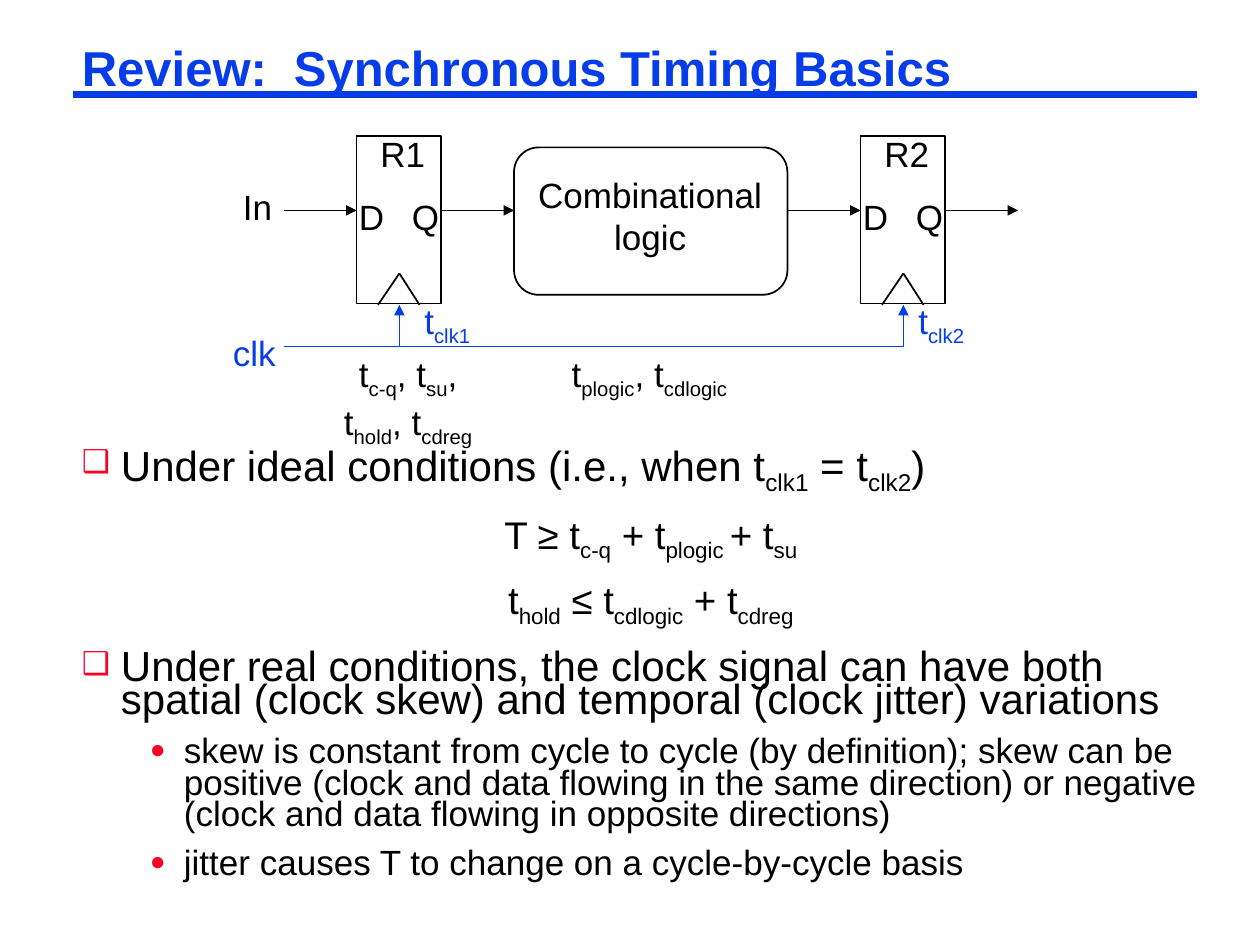
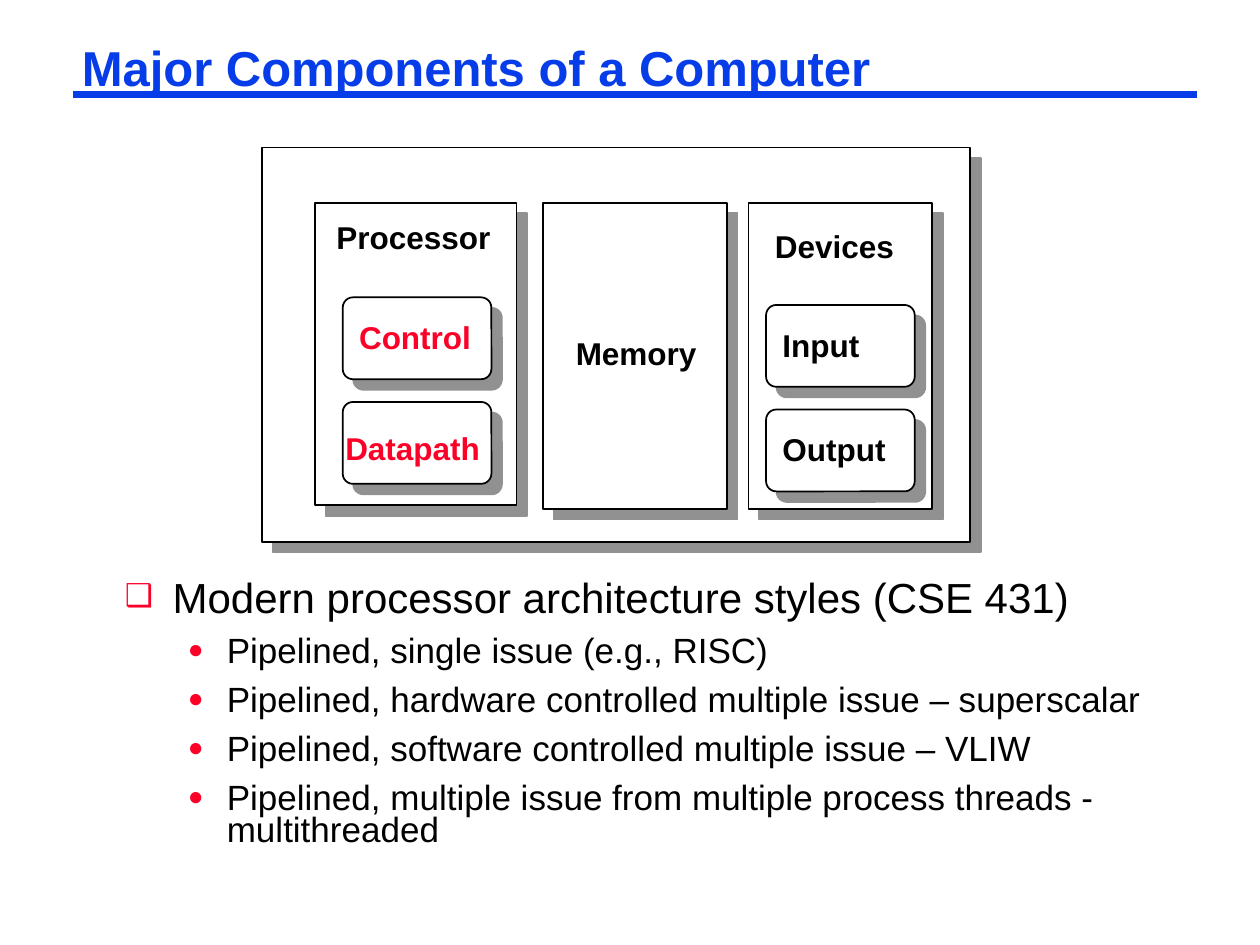
from dataclasses import dataclass

from lxml.etree import SubElement
from pptx import Presentation
from pptx.dml.color import RGBColor
from pptx.enum.shapes import MSO_CONNECTOR, MSO_SHAPE
from pptx.enum.text import MSO_ANCHOR, MSO_AUTO_SIZE, PP_ALIGN
from pptx.oxml.ns import qn
from pptx.util import Inches, Pt


@dataclass(frozen=True)
class Theme:
    blue: str = "063DE8"
    red: str = "FC0128"
    black: str = "000000"
    white: str = "FFFFFF"
    shadow: str = "919191"
    font: str = "Arial"
    title: int = 28
    body: int = 24
    formula: int = 22
    detail: int = 20
    block: int = 18
    thin: float = 1
    rule: float = 4.5


THEME = Theme()
WIDE_INSETS = (0.1, 0.05)
TIGHT_INSETS = (0.07, 0.03)
LABEL_SLACK = 0.04  # spare width that keeps each label line whole

# Paragraph formats of the body lists
TOPIC = dict(bullet="❑", size=THEME.body, line=0.8, before=19.5)
DETAIL = dict(bullet="●", size=THEME.detail, line=0.75, before=10, level=1)
FORMULA = dict(bullet=None, size=THEME.formula, line=0.65, before=17.9,
               align=PP_ALIGN.CENTER)


# ---- Text ----
def set_values(target, values):
    for name, value in values.items():
        setattr(target, name, value)


def format_frame(frame, insets, wrap, fit=MSO_AUTO_SIZE.SHAPE_TO_FIT_TEXT):
    side, end = map(Inches, insets)
    set_values(frame, dict(margin_left=side, margin_right=side, margin_top=end,
                           margin_bottom=end, word_wrap=wrap, auto_size=fit,
                           vertical_anchor=MSO_ANCHOR.TOP))


def write(paragraph, text, size, color=THEME.black, bold=False):
    """Write text whose parts between bars are subscripts."""
    for index, part in enumerate(text.split("|")):
        if not part:
            continue
        run = paragraph.add_run()
        run.text = part
        set_values(run.font, dict(name=THEME.font, size=Pt(size), bold=bold))
        run.font.color.rgb = RGBColor.from_string(color)
        if index % 2:
            run._r.get_or_add_rPr().set("baseline", "-25000")


def add_label(slide, at, text, size=THEME.detail, color=THEME.black, bold=False,
              insets=WIDE_INSETS, line=1.0, align=PP_ALIGN.LEFT):
    left, top, width, height = at
    if align == PP_ALIGN.CENTER:
        left -= LABEL_SLACK / 2
    frame = slide.shapes.add_textbox(
        *map(Inches, (left, top, width + LABEL_SLACK, height))).text_frame
    format_frame(frame, insets, wrap=False)
    for index, words in enumerate(text.split("\n")):
        paragraph = frame.add_paragraph() if index else frame.paragraphs[0]
        set_values(paragraph, dict(alignment=align, line_spacing=line))
        write(paragraph, words, size, color, bold)


def place(placeholder, at):
    sides = ("left", "top", "width", "height")
    set_values(placeholder, dict(zip(sides, map(Inches, at))))


def set_title(slide, text, width):
    place(slide.shapes.title, (0.58, 0.33, width, 0.46))
    frame = slide.shapes.title.text_frame
    format_frame(frame, TIGHT_INSETS, wrap=True)
    heading = frame.paragraphs[0]
    set_values(heading, dict(alignment=PP_ALIGN.LEFT, line_spacing=0.87))
    write(heading, text, THEME.title, THEME.blue, bold=True)


def set_bullet(paragraph, bullet, indent, hanging):
    properties = paragraph._p.get_or_add_pPr()
    properties.set("marL", str(Inches(indent)))
    properties.set("indent", str(-Inches(hanging)))
    if bullet is None:
        SubElement(properties, qn("a:buNone"))
        return
    color = SubElement(properties, qn("a:buClr"))
    SubElement(color, qn("a:srgbClr"), val=THEME.red)
    SubElement(properties, qn("a:buSzPct"), val="75000")
    SubElement(properties, qn("a:buFont"), typeface=THEME.font)
    SubElement(properties, qn("a:buChar"), char=bullet)


def fill_body(slide, at, items, indents):
    """Write (format, text) items; indents holds (indent, hanging) per level."""
    body = slide.placeholders[1]
    place(body, at)
    format_frame(body.text_frame, TIGHT_INSETS, wrap=True, fit=MSO_AUTO_SIZE.NONE)
    for index, (style, text) in enumerate(items):
        paragraph = (body.text_frame.add_paragraph() if index
                     else body.text_frame.paragraphs[0])
        level = style.get("level", 0)
        set_bullet(paragraph, style["bullet"], *indents[level])
        set_values(paragraph, dict(
            level=level, alignment=style.get("align", PP_ALIGN.LEFT),
            line_spacing=style["line"], space_after=Pt(0),
            space_before=Pt(style["before"] if index else 0)))
        write(paragraph, text, style["size"])


# ---- Lines and boxes ----
def add_line(slide, start, end, color=THEME.black, width=THEME.thin, arrow=False):
    line = slide.shapes.add_connector(MSO_CONNECTOR.STRAIGHT,
                                      *map(Inches, (*start, *end)))
    line.line.color.rgb = RGBColor.from_string(color)
    line.line.width = Pt(width)
    properties = line.element.spPr
    if arrow:
        SubElement(properties.find(qn("a:ln")), qn("a:tailEnd"), type="triangle")
    SubElement(properties, qn("a:effectLst"))
    return line


def add_box(slide, at, rounding=None, raised=False):
    kind = MSO_SHAPE.RECTANGLE if rounding is None else MSO_SHAPE.ROUNDED_RECTANGLE
    box = slide.shapes.add_shape(kind, *map(Inches, at))
    if rounding is not None:
        box.adjustments[0] = rounding
    box.line.color.rgb = RGBColor.from_string(THEME.black)
    box.line.width = Pt(THEME.thin)
    box.shadow.inherit = False
    if not raised:
        box.fill.background()
        return
    box.fill.solid()
    box.fill.fore_color.rgb = RGBColor.from_string(THEME.white)
    effects = box.element.spPr.find(qn("a:effectLst"))
    shadow = SubElement(effects, qn("a:outerShdw"), dist=str(Pt(8.5)),
                        dir="2700000", algn="ctr", rotWithShape="0")
    SubElement(shadow, qn("a:srgbClr"), val=THEME.shadow)


def add_title_rule(slide):
    """Put the rule under the title on the layout that the slides share."""
    rule = add_line(slide, (0.58, 0.75), (9.5, 0.75), THEME.blue, THEME.rule)
    slide.slide_layout.shapes.element.append(rule.element)


# ---- Slide 1: timing ----
def add_register(slide, left, name):
    add_box(slide, (left, 1.08, 0.67, 1.33))
    middle = left + 0.34
    tip = (middle, 2.17)
    add_line(slide, (middle - 0.17, 2.42), tip)
    add_line(slide, tip, (middle + 0.16, 2.42))
    add_label(slide, (left - 0.08, 1.5, 0.4, 0.44), "D")
    add_label(slide, (left + 0.34, 1.5, 0.41, 0.44), "Q")
    add_label(slide, (left + 0.09, 1, 0.55, 0.44), name)


def draw_timing(slide):
    # Data path
    add_register(slide, 2.83, "R1")
    add_register(slide, 6.83, "R2")
    add_box(slide, (4.08, 1.17, 2.17, 1.17), rounding=0.167)
    add_label(slide, (4.17, 1.33, 1.98, 0.77), "Combinational\nlogic",
              align=PP_ALIGN.CENTER)
    for start in (2.25, 3.5, 6.25, 7.5):
        add_line(slide, (start, 1.67), (start + 0.58, 1.67), arrow=True)
    add_label(slide, (1.83, 1.42, 0.43, 0.44), "In")

    # Clock
    add_line(slide, (2.25, 2.75), (7.17, 2.75), THEME.blue)
    for clock_pin in (3.17, 7.17):
        add_line(slide, (clock_pin, 2.75), (clock_pin, 2.42), THEME.blue, arrow=True)
    add_label(slide, (1.75, 2.58, 0.54, 0.44), "clk", color=THEME.blue)
    for left, arrival in ((3.27, "t|clk1"), (7.19, "t|clk2")):
        add_label(slide, (left, 2.33, 0.56, 0.48), arrival, color=THEME.blue)

    # Delays
    add_label(slide, (2.63, 2.75, 1.22, 0.86),
              "t|c-q|, t|su|,\nt|hold|, t|cdreg", align=PP_ALIGN.CENTER)
    add_label(slide, (4.44, 2.75, 1.43, 0.48), "t|plogic|, t|cdlogic",
              align=PP_ALIGN.CENTER)


TIMING_NOTES = [
    (TOPIC, "Under ideal conditions (i.e., when t|clk1| = t|clk2|)"),
    (FORMULA, "T ≥ t|c-q| + t|plogic |+ t|su"),
    (FORMULA, "t|hold| ≤ t|cdlogic| + t|cdreg"),
    ({**TOPIC, "line": 0.65},
     "Under real conditions, the clock signal can have both spatial (clock skew) "
     "and temporal (clock jitter) variations"),
    (DETAIL,
     "skew is constant from cycle to cycle (by definition); skew can be positive "
     "(clock and data flowing in the same direction) or negative (clock and data "
     "flowing in opposite directions)"),
    (DETAIL, "jitter causes T to change on a cycle-by-cycle basis"),
]


# ---- Slide 2: computer ----
def draw_computer(slide):
    # Case and its three main blocks
    for at in ((2.08, 1.17, 5.62, 3.13), (2.5, 1.61, 1.6, 2.4),
               (4.31, 1.61, 1.46, 2.43), (5.94, 1.61, 1.46, 2.43)):
        add_box(slide, at, raised=True)

    # Units inside the processor and the devices
    for left, top in ((2.72, 2.36), (6.08, 2.42)):
        for row in range(2):
            add_box(slide, (left, top + row * 0.83, 1.18, 0.65),
                    rounding=0.125, raised=True)

    names = [
        ("Processor", 2.6, 1.75, 1.36, THEME.black),
        ("Control", 2.78, 2.54, 1.03, THEME.red),
        ("Datapath", 2.67, 3.42, 1.21, THEME.red),
        ("Memory", 4.5, 2.67, 1.1, THEME.black),
        ("Devices", 6.08, 1.82, 1.08, THEME.black),
        ("Input", 6.14, 2.6, 0.75, THEME.black),
        ("Output", 6.14, 3.43, 0.96, THEME.black),
    ]
    for name, left, top, width, color in names:
        add_label(slide, (left, top, width, 0.31), name, THEME.block, color,
                  bold=True, insets=TIGHT_INSETS, line=0.85)


ARCHITECTURE_STYLES = [
    (TOPIC, "Modern processor architecture styles (CSE 431)"),
    (DETAIL, "Pipelined, single issue (e.g., RISC)"),
    (DETAIL, "Pipelined, hardware controlled multiple issue – superscalar"),
    (DETAIL, "Pipelined, software controlled multiple issue – VLIW"),
    (DETAIL, "Pipelined, multiple issue from multiple process threads - multithreaded"),
]


def main():
    deck = Presentation()
    deck.slide_width, deck.slide_height = Inches(10), Inches(7.5)
    layout = deck.slide_layouts[1]

    timing = deck.slides.add_slide(layout)
    add_title_rule(timing)
    set_title(timing, "Review:  Synchronous Timing Basics", 8.92)
    fill_body(timing, (0.58, 3.5, 9.17, 3.87), TIMING_NOTES,
              [(0.31, 0.31), (0.81, 0.27)])
    draw_timing(timing)

    computer = deck.slides.add_slide(layout)
    set_title(computer, "Major Components of a Computer", 6.41)
    draw_computer(computer)
    fill_body(computer, (0.92, 4.58, 8.25, 2.39), ARCHITECTURE_STYLES,
              [(0.38, 0.38), (0.81, 0.31)])

    deck.save("out.pptx")


if __name__ == "__main__":
    main()
